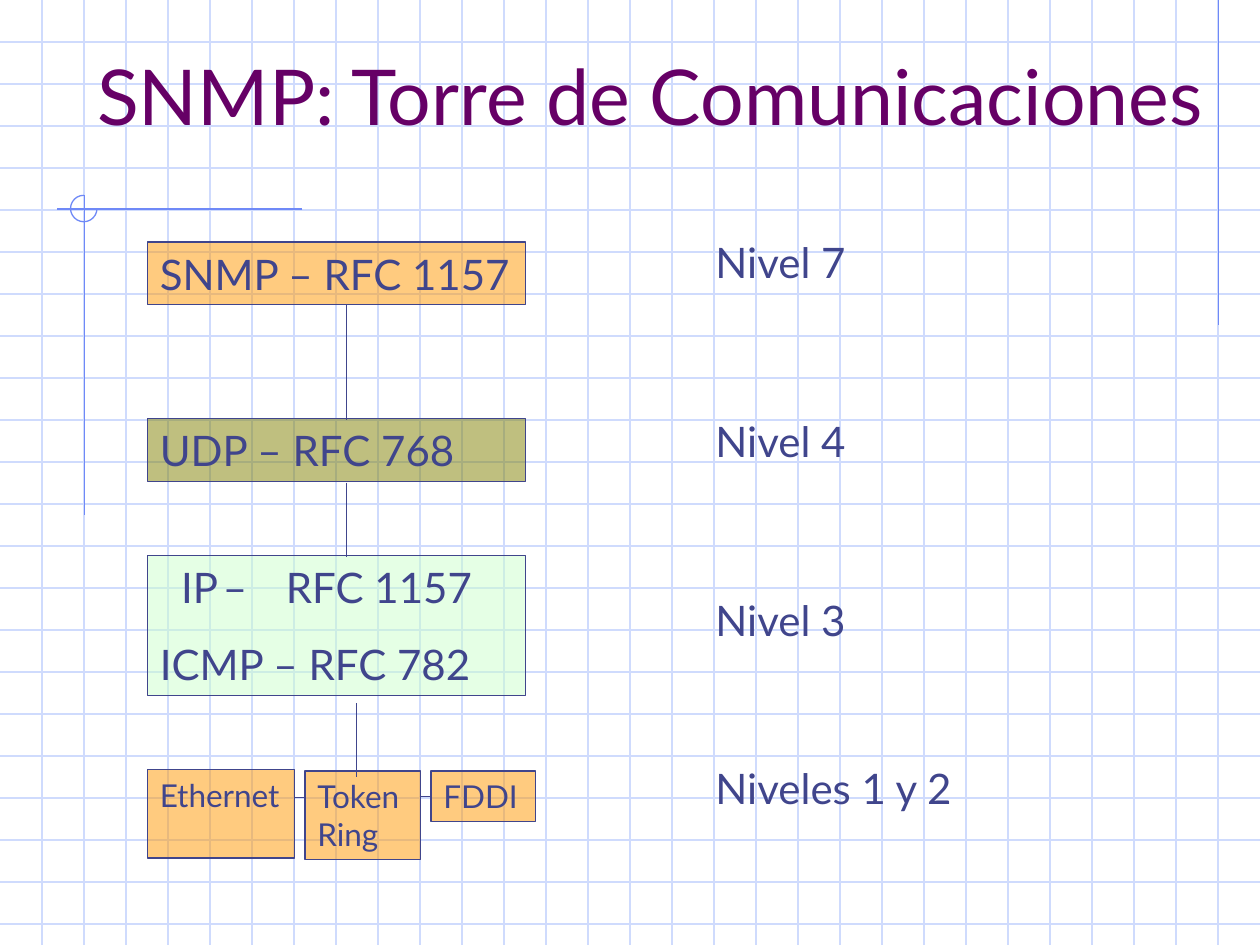
import pptx
import pptx.util
import pptx.dml.color
import pptx.enum.shapes
import pptx.enum.text
import pptx.oxml.ns
import pptx.oxml.xmlchemy

Inches = pptx.util.Inches
Pt = pptx.util.Pt
RGBColor = pptx.dml.color.RGBColor
SHAPE = pptx.enum.shapes.MSO_SHAPE
ANCHOR = pptx.enum.text.MSO_ANCHOR
qn = pptx.oxml.ns.qn
OxmlElement = pptx.oxml.xmlchemy.OxmlElement

GRID = RGBColor(0xCF, 0xDB, 0xFD)
ACCENT = RGBColor(0x6F, 0x89, 0xF7)
PURPLE = RGBColor(0x66, 0x00, 0x66)
INDIGO = RGBColor(0x40, 0x45, 0x8C)
ORANGE = RGBColor(0xFF, 0x99, 0x00)
OLIVE = RGBColor(0x80, 0x80, 0x00)
MINT = RGBColor(0xCC, 0xFF, 0xCC)

WIDTH, HEIGHT = 10, 7.5
STEP = 1 / 3
FRAME = {
    "margin_left": Inches(0.1), "margin_right": Inches(0.1),
    "margin_top": Inches(0.05), "margin_bottom": Inches(0.05),
    "word_wrap": True, "auto_size": pptx.enum.text.MSO_AUTO_SIZE.NONE,
}


def apply(target, values):
    for name, value in values.items():
        setattr(target, name, value)


def write(frame, lines, size, color=INDIGO, anchor=ANCHOR.TOP, space=0):
    apply(frame, {**FRAME, "vertical_anchor": anchor})
    for index, line in enumerate(lines):
        paragraph = frame.paragraphs[0] if index == 0 else frame.add_paragraph()
        paragraph.alignment = pptx.enum.text.PP_ALIGN.LEFT
        paragraph.space_before = Pt(space if index else 0)
        run = paragraph.add_run()
        run.text = line
        apply(run.font, {"size": Pt(size), "name": "Lato"})
        run.font.color.rgb = color


def add_line(slide, x1, y1, x2, y2, color=INDIGO):
    line = slide.shapes.add_connector(
        pptx.enum.shapes.MSO_CONNECTOR.STRAIGHT,
        Inches(x1), Inches(y1), Inches(x2), Inches(y2))
    line.line.color.rgb = color
    line.line.width = Pt(0.75)
    line.element.spPr.append(OxmlElement("a:effectLst"))
    return line


def add_protocol(slide, lines, left, top, width, height, fill, size=24):
    box = slide.shapes.add_shape(SHAPE.RECTANGLE, Inches(left), Inches(top),
                                 Inches(width), Inches(height))
    box.shadow.inherit = False
    box.fill.solid()
    box.fill.fore_color.rgb = fill
    alpha = OxmlElement("a:alpha")
    alpha.set("val", "50000")
    box.element.spPr.find(qn("a:solidFill"))[0].append(alpha)
    box.line.color.rgb = INDIGO
    box.line.width = Pt(0.75)
    write(box.text_frame, lines, size, space=15)
    return box


def add_level(slide, text, top, width=1.83):
    label = slide.shapes.add_textbox(Inches(5.58), Inches(top),
                                     Inches(width), Inches(0.5))
    write(label.text_frame, [text], 24)


def align_columns(paragraph, indent, stops):
    properties = paragraph._p.get_or_add_pPr()
    properties.set("marL", "0")
    properties.set("indent", str(Inches(indent)))
    tabs = OxmlElement("a:tabLst")
    for stop in stops:
        tab = OxmlElement("a:tab")
        tab.set("pos", str(Inches(stop)))
        tab.set("algn", "l")
        tabs.append(tab)
    properties.append(tabs)


def add_background(slide):
    # Graph paper
    for row in range(1, 23):
        add_line(slide, 0, row * STEP, WIDTH, row * STEP, GRID)
    for column in range(1, 30):
        add_line(slide, column * STEP, 0, column * STEP, HEIGHT, GRID)
    # Drafting lines and the open circle where two of them cross
    for ends in ((9.67, 0, 9.67, 2.58), (2.4, 1.66, 0.45, 1.66),
                 (0.67, 1.55, 0.67, 4.09)):
        add_line(slide, *ends, ACCENT)
    circle = slide.shapes.add_shape(SHAPE.ARC, Inches(0.56), Inches(1.55),
                                    Inches(0.21), Inches(0.21))
    circle.shadow.inherit = False
    circle.fill.background()
    circle.line.color.rgb = ACCENT
    circle.line.width = Pt(0.75)
    circle.adjustments[0] = 0
    circle.adjustments[1] = 162


def add_title(slide, text):
    title = slide.shapes.title
    apply(title, {"left": Inches(0.67), "top": Inches(0.25),
                  "width": Inches(9.08), "height": Inches(0.92)})
    write(title.text_frame, [text], 44, PURPLE, ANCHOR.BOTTOM)
    # Bring the title in front of the grid
    title.element.getparent().append(title.element)


def main():
    deck = pptx.Presentation()
    deck.slide_width, deck.slide_height = Inches(WIDTH), Inches(HEIGHT)
    slide = deck.slides.add_slide(deck.slide_layouts[5])

    add_background(slide)
    add_title(slide, "SNMP: Torre de Comunicaciones")

    # Protocol stack
    add_protocol(slide, ["SNMP – RFC 1157"], 1.17, 1.92, 3, 0.5, ORANGE)
    add_protocol(slide, ["UDP – RFC 768"], 1.17, 3.32, 3, 0.5, OLIVE)
    network = add_protocol(slide, ["IP\t–\tRFC 1157", "ICMP – RFC 782"],
                           1.17, 4.41, 3, 1.11, MINT)
    align_columns(network.text_frame.paragraphs[0], 0.17, (0.72, 1.08))

    # Link technologies
    fddi = add_protocol(slide, ["FDDI"], 3.42, 6.12, 0.83, 0.4, ORANGE, 18)
    add_protocol(slide, ["Token Ring"], 2.42, 6.12, 0.92, 0.7, ORANGE, 18)
    add_protocol(slide, ["Ethernet"], 1.17, 6.11, 1.17, 0.7, ORANGE, 18)

    # Links between layers and between neighbours
    for x, start, end in ((2.75, 2.42, 3.33), (2.75, 3.83, 4.42),
                          (2.83, 5.58, 6.17)):
        add_line(slide, x, start, x, end)
    add_line(slide, 2.33, 6.33, 2.42, 6.33)
    add_line(slide, 3.33, 6.32, 3.42, 6.32).end_connect(fddi, 1)

    # Level labels
    for text, top in (("Nivel 7", 1.83), ("Nivel 4", 3.25), ("Nivel 3", 4.67)):
        add_level(slide, text, top)
    add_level(slide, "Niveles 1 y 2", 6, 2.58)

    deck.save("out.pptx")


if __name__ == "__main__":
    main()
